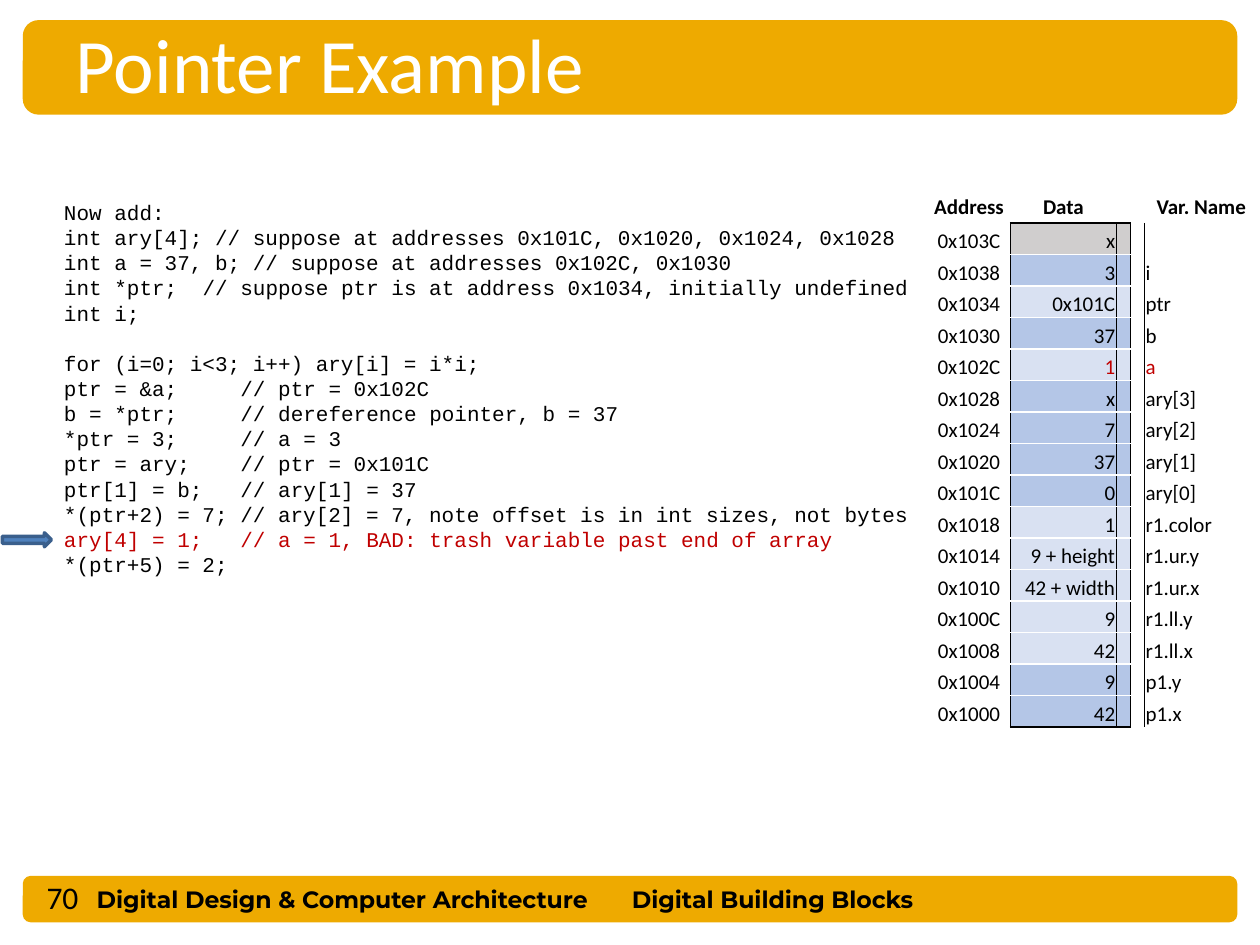
import dataclasses
import typing

import lxml.etree
import pptx
import pptx.dml.color
import pptx.enum.shapes
import pptx.enum.text
import pptx.oxml.ns
import pptx.util

Pt = pptx.util.Pt
Align = pptx.enum.text.PP_ALIGN
Anchor = pptx.enum.text.MSO_ANCHOR
Kind = pptx.enum.shapes.MSO_SHAPE
Box = tuple[float, float, float, float]  # left, top, width, height


@dataclasses.dataclass(frozen=True)
class Theme:
    gold: str = "EEAA00"
    white: str = "FFFFFF"
    black: str = "000000"
    red: str = "C00000"
    arrow: str = "4F81BD"
    edge: str = "3A5F8C"
    gray: str = "D0CECE"
    blue: str = "B4C6E7"
    pale: str = "D9E1F2"
    sans: str = "Calibri"
    mono: str = "Courier New"
    brand: str = "Montserrat"
    head: float = 44
    page: float = 18
    foot: float = 13.5
    small: float = 12
    pitch: float = 14.37  # line height of the code
    char: float = 7.2     # width of one code letter


THEME = Theme()


class Line(typing.NamedTuple):
    code: str
    note: str = ""
    stop: int = 0  # column where the note starts; 0 means after one space
    ink: str = THEME.black
    gap: float = 0


class Word(typing.NamedTuple):
    data: str
    name: str
    shade: str
    ink: str = THEME.black


LINES = [
    Line("Now add:"),
    Line("int ary[4];", "// suppose at addresses 0x101C, 0x1020, 0x1024, 0x1028"),
    Line("int a = 37, b;", "// suppose at addresses 0x102C, 0x1030"),
    Line("int *ptr;", "// suppose ptr is at address 0x1034, initially undefined", 11),
    Line("int i;"),
    Line("for (i=0; i<3; i++) ary[i] = i*i;", gap=THEME.pitch),
    Line("ptr = &a;", "// ptr = 0x102C", 14),
    Line("b = *ptr;", "// dereference pointer, b = 37", 14),
    Line("*ptr = 3;", "// a = 3", 14),
    Line("ptr = ary;", "// ptr = 0x101C", 14),
    Line("ptr[1] = b;", "// ary[1] = 37", 14),
    Line("*(ptr+2) = 7;", "// ary[2] = 7, note offset is in int sizes, not bytes"),
    Line("ary[4] = 1;", "// a = 1, BAD: trash variable past end of array", 14, THEME.red),
    Line("*(ptr+5) = 2;"),
]

# Memory from the top address down, four bytes a word
TOP = 0x103C
WORDS = [
    Word("x", "", THEME.gray),
    Word("3", "i", THEME.blue),
    Word("0x101C", "ptr", THEME.pale),
    Word("37", "b", THEME.blue),
    Word("1", "a", THEME.pale, THEME.red),
    Word("x", "ary[3]", THEME.blue),
    Word("7", "ary[2]", THEME.blue),
    Word("37", "ary[1]", THEME.blue),
    Word("0", "ary[0]", THEME.blue),
    Word("1", "r1.color", THEME.pale),
    Word("9 + height", "r1.ur.y", THEME.pale),
    Word("42 + width", "r1.ur.x", THEME.pale),
    Word("9", "r1.ll.y", THEME.pale),
    Word("42", "r1.ll.x", THEME.pale),
    Word("9", "p1.y", THEME.blue),
    Word("42", "p1.x", THEME.blue),
]


def put(item: typing.Any, form: dict[str, typing.Any]) -> None:
    for key, value in form.items():
        setattr(item, key, value)


def tint(hue: str) -> pptx.dml.color.RGBColor:
    return pptx.dml.color.RGBColor.from_string(hue)


def add_node(parent: typing.Any, tag: str, **attrs: str) -> typing.Any:
    return lxml.etree.SubElement(parent, pptx.oxml.ns.qn(tag), attrs)


def write(para: typing.Any, text: str, size: float, face: str,
          ink: str = THEME.black, bold: bool = False) -> None:
    run = para.add_run()
    run.text = text
    put(run.font, {"size": Pt(size), "name": face, "bold": bold})
    run.font.color.rgb = tint(ink)


def add_text(slide: typing.Any, box: Box, anchor: typing.Any = Anchor.MIDDLE) -> typing.Any:
    frame = slide.shapes.add_textbox(*map(Pt, box)).text_frame
    put(frame, {"word_wrap": True, "vertical_anchor": anchor})
    return frame


def add_block(slide: typing.Any, kind: typing.Any, box: Box, fill: str, edge: str = "") -> None:
    shape = slide.shapes.add_shape(kind, *map(Pt, box))
    shape.shadow.inherit = False
    shape.fill.solid()
    shape.fill.fore_color.rgb = tint(fill)
    if edge:
        shape.line.color.rgb = tint(edge)
        shape.line.width = Pt(2)
    else:
        shape.line.fill.background()


def add_code(slide: typing.Any) -> None:
    frame = add_text(slide, (29.5, 110.5, 518, 225), Anchor.TOP)
    for row, line in enumerate(LINES):
        para = frame.paragraphs[0] if row == 0 else frame.add_paragraph()
        put(para, {"line_spacing": Pt(THEME.pitch), "space_before": Pt(line.gap)})
        text = line.code
        if line.stop:
            tabs = add_node(para._p.get_or_add_pPr(), "a:tabLst")
            add_node(tabs, "a:tab", pos=str(Pt(line.stop * THEME.char)), algn="l")
            text += chr(9) + line.note
        elif line.note:
            text += " " + line.note
        write(para, text, THEME.small, THEME.mono, line.ink)


def set_cell(cell: typing.Any, text: str, align: typing.Any, edges: dict[str, str],
             fill: str = "", ink: str = THEME.black, head: bool = False) -> None:
    put(cell, {"margin_left": Pt(0.75), "margin_right": Pt(0.75), "margin_top": Pt(0.75),
               "margin_bottom": Pt(0),
               "vertical_anchor": Anchor.MIDDLE if head else Anchor.BOTTOM})
    para = cell.text_frame.paragraphs[0]
    para.alignment = align
    if text:
        write(para, text, THEME.small, THEME.sans, ink, head)
    else:
        add_node(para._p, "a:endParaRPr", sz=str(THEME.small * 100))
    for side in "LRTB":
        if side in edges:
            line = add_node(cell._tc.get_or_add_tcPr(), "a:ln" + side, w=str(Pt(1)))
            add_node(add_node(line, "a:solidFill"), "a:srgbClr", val=edges[side])
    if fill:
        cell.fill.solid()
        cell.fill.fore_color.rgb = tint(fill)
    else:
        cell.fill.background()


def add_table(slide: typing.Any) -> None:
    widths, height = (47.5, 60.5, 8, 8, 65), 18
    count = len(WORDS) + 1
    box = (530, 109.4, sum(widths), height * count)
    table = slide.shapes.add_table(count, len(widths), *map(Pt, box)).table
    put(table, {"first_row": False, "horz_banding": False})
    style = table._tbl.tblPr.find(pptx.oxml.ns.qn("a:tableStyleId"))
    style.text = "{2D5ABB26-0587-4C30-8999-92F81FD0307C}"  # no style, no grid
    for col, width in zip(table.columns, widths):
        col.width = Pt(width)
    for row in table.rows:
        row.height = Pt(height)

    # Heads
    black, white = THEME.black, THEME.white
    for col, text in enumerate(("Address", "Data", "", "", "Var. Name")):
        edges = {"B": black} if col in (1, 2) else {}
        set_cell(table.cell(0, col), text, Align.CENTER, edges, head=True)

    # One row a word, framed in black with white rules between
    for row, word in enumerate(WORDS, 1):
        rules = {"T": black if row == 1 else white,
                 "B": black if row == len(WORDS) else white}
        address = f"0x{TOP - 4 * (row - 1):04X}"
        parts = (
            (address, Align.CENTER, {"R": black}),
            (word.data, Align.RIGHT, {"L": black, **rules}, word.shade, word.ink),
            ("", Align.LEFT, {"R": black, **rules}, word.shade),
            ("", Align.LEFT, {"L": black}),
            (word.name, Align.LEFT, {}, "", word.ink),
        )
        for col, part in enumerate(parts):
            set_cell(table.cell(row, col), *part)


def main() -> None:
    deck = pptx.Presentation()
    put(deck, {"slide_width": Pt(720), "slide_height": Pt(540)})
    slide = deck.slides.add_slide(deck.slide_layouts[5])

    # Gold bars and footer
    for top, height in ((500.5, 26.5), (11.5, 54)):
        add_block(slide, Kind.ROUNDED_RECTANGLE, (13, top, 694, height), THEME.gold)
    for text, left, width in (("Digital Design & Computer Architecture", 48.2, 320),
                              ("Digital Building Blocks", 354, 212)):
        para = add_text(slide, (left, 501.8, width, 23.8)).paragraphs[0]
        write(para, text, THEME.foot, THEME.brand, bold=True)

    # Title, brought in front of its bar
    title = slide.shapes.title
    slide.shapes.element.append(title.element)
    put(title, dict(zip(("left", "top", "width", "height"), map(Pt, (36, 5.8, 624, 60.5)))))
    put(title.text_frame, {"word_wrap": True, "vertical_anchor": Anchor.MIDDLE})
    para = title.text_frame.paragraphs[0]
    para.alignment = Align.LEFT
    write(para, "Pointer Example", THEME.head, THEME.sans, THEME.white)

    # Code, its marker and the memory map
    add_code(slide)
    add_block(slide, Kind.RIGHT_ARROW, (1.4, 304.5, 28, 8), THEME.arrow, THEME.edge)
    add_table(slide)

    # Page number
    para = add_text(slide, (19.5, 498.3, 59, 28)).paragraphs[0]
    write(para, "70", THEME.page, THEME.sans)

    deck.save("out.pptx")


if __name__ == "__main__":
    main()
